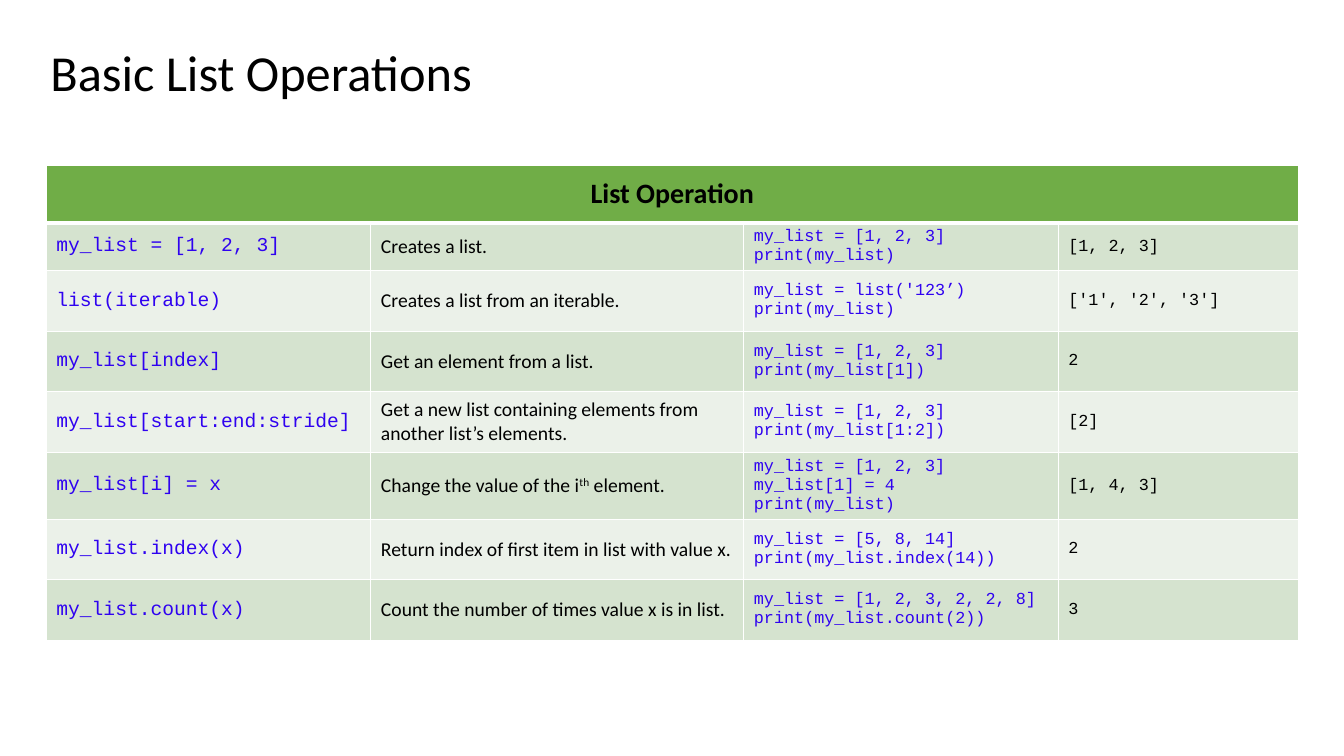
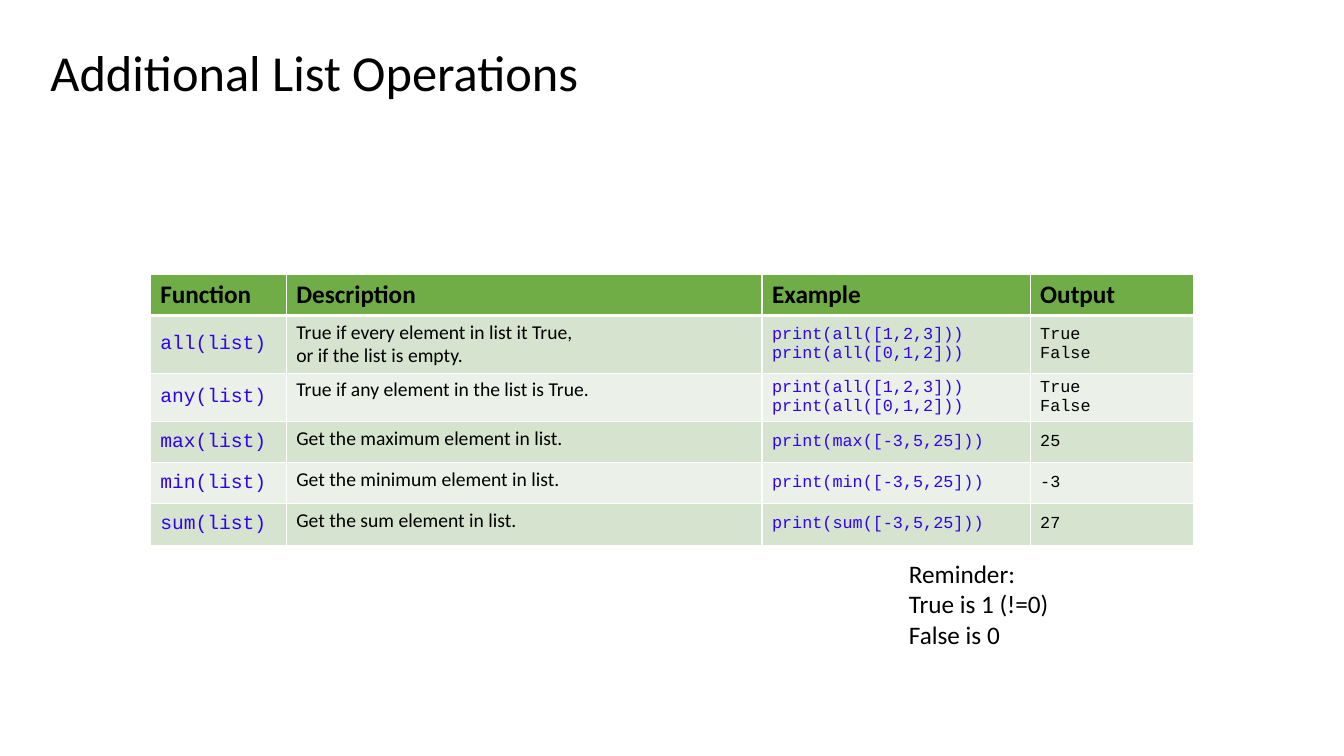
from lxml import etree
from pptx import Presentation
from pptx.dml.color import RGBColor
from pptx.enum.text import MSO_ANCHOR, MSO_AUTO_SIZE, PP_ALIGN
from pptx.oxml.ns import qn
from pptx.util import Pt

TOP, MIDDLE = MSO_ANCHOR.TOP, MSO_ANCHOR.MIDDLE
LEFT, CENTER = PP_ALIGN.LEFT, PP_ALIGN.CENTER
FIT_SHAPE = MSO_AUTO_SIZE.SHAPE_TO_FIT_TEXT

BLACK = RGBColor(0x00, 0x00, 0x00)
CODE_BLUE = RGBColor(0x2F, 0x02, 0xF0)
GREEN = RGBColor(0x70, 0xAD, 0x47)
BANDS = [RGBColor(0xD5, 0xE3, 0xCF), RGBColor(0xEB, 0xF1, 0xE9)]
BORDER = "FFFFFF"

SANS, MONO = "Calibri", "Courier New"
TITLE = {"name": SANS, "size": Pt(36), "color": BLACK}
NOTE = {"name": SANS, "size": Pt(18), "color": BLACK}
COLUMN_FONTS = [
    {"name": MONO, "size": Pt(14), "color": CODE_BLUE, "bold": False},
    {"name": SANS, "size": Pt(14), "color": BLACK, "bold": False},
    {"name": MONO, "size": Pt(12), "color": CODE_BLUE, "bold": False},
    {"name": MONO, "size": Pt(12), "color": BLACK, "bold": False},
]

SLIDES = [
    {
        "title": "Basic List Operations",
        "at": (33.12, 118.08),
        "cols": [231.84, 266.4, 224.64, 171.36],
        "heights": [41, 30.25] + [43.2] * 6,
        "header_size": 20,
        "header_anchor": MIDDLE,
        "description_anchor": MIDDLE,
        "header": ["List Operation"],
        "rows": [
            ("my_list = [1, 2, 3]", "Creates a list.",
             "my_list = [1, 2, 3]\nprint(my_list)", "[1, 2, 3]"),
            ("list(iterable)", "Creates a list from an iterable.",
             "my_list = list('123’)\nprint(my_list)", "['1', '2', '3']"),
            ("my_list[index]", "Get an element from a list.",
             "my_list = [1, 2, 3]\nprint(my_list[1])", "2"),
            ("my_list[start:end:stride]",
             "Get a new list containing elements from another list’s elements.",
             "my_list = [1, 2, 3]\nprint(my_list[1:2])", "[2]"),
            ("my_list[i] = x", "Change the value of the i^th^ element.",
             "my_list = [1, 2, 3]\nmy_list[1] = 4\nprint(my_list)", "[1, 4, 3]"),
            ("my_list.index(x)", "Return index of first item in list with value x.",
             "my_list = [5, 8, 14]\nprint(my_list.index(14))", "2"),
            ("my_list.count(x)", "Count the number of times value x is in list.",
             "my_list = [1, 2, 3, 2, 2, 8]\nprint(my_list.count(2))", "3"),
        ],
    },
    {
        "title": "Additional List Operations",
        "at": (107.28, 195.84),
        "cols": [97.2, 339.84, 191.52, 116.64],
        "heights": [29.5] * 6,
        "header_size": 18,
        "header_anchor": TOP,
        "description_anchor": TOP,
        "header": ["Function", "Description", "Example", "Output"],
        "rows": [
            ("all(list)", "True if every element in list it True,\nor if the list is empty.",
             "print(all([1,2,3]))\nprint(all([0,1,2]))", "True\nFalse"),
            ("any(list)", "True if any element in the list is True.",
             "print(all([1,2,3]))\nprint(all([0,1,2]))", "True\nFalse"),
            ("max(list)", "Get the maximum element in list.",
             "print(max([-3,5,25]))", "25"),
            ("min(list)", "Get the minimum element in list.",
             "print(min([-3,5,25]))", "-3"),
            ("sum(list)", "Get the sum element in list.",
             "print(sum([-3,5,25]))", "27"),
        ],
        "note": "Reminder:\nTrue is 1 (!=0)\nFalse is 0",
    },
]


def write(tf, text, fmt, align=LEFT):
    """Put one paragraph per line of text; parts between ^ marks are superscript."""
    for i, line in enumerate(text.split("\n")):
        p = tf.add_paragraph() if i else tf.paragraphs[0]
        p.alignment = align
        for j, part in enumerate(line.split("^")):
            r = p.add_run()
            r.text = part
            for key, value in fmt.items():
                if key == "color":
                    r.font.color.rgb = value
                else:
                    setattr(r.font, key, value)
            if j % 2:
                r._r.get_or_add_rPr().set("baseline", "30000")


def style_cell(cell, fill, anchor, top, bottom):
    """Set fill, anchor and borders; top and bottom are line widths in points."""
    tcPr = cell._tc.get_or_add_tcPr()
    for tag, width in (("a:lnL", 1), ("a:lnR", 1), ("a:lnT", top), ("a:lnB", bottom)):
        ln = etree.SubElement(tcPr, qn(tag), w=str(Pt(width)))
        solid = etree.SubElement(ln, qn("a:solidFill"))
        etree.SubElement(solid, qn("a:srgbClr"), val=BORDER)
    cell.fill.solid()
    cell.fill.fore_color.rgb = fill
    cell.vertical_anchor = anchor


prs = Presentation()
prs.slide_width, prs.slide_height = Pt(960), Pt(540)

for data in SLIDES:
    s = prs.slides.add_slide(prs.slide_layouts[5])
    title = s.shapes.title
    title.left, title.top, title.width, title.height = Pt(28.8), Pt(17.3), Pt(828), Pt(73.4)
    title.text_frame.vertical_anchor = MIDDLE
    write(title.text_frame, data["title"], TITLE)
    title.text_frame.paragraphs[0].line_spacing = 0.9

    cols, heights, header = data["cols"], data["heights"], data["header"]
    left, top = data["at"]
    table = s.shapes.add_table(len(heights), len(cols), Pt(left), Pt(top),
                               Pt(sum(cols)), Pt(sum(heights))).table
    for col, width in zip(table.columns, cols):
        col.width = Pt(width)
    for row, height in zip(table.rows, heights):
        row.height = Pt(height)

    for c in range(len(cols)):
        style_cell(table.cell(0, c), GREEN, data["header_anchor"], 1, 3)
    spans_table = len(header) == 1
    if spans_table:
        table.cell(0, 0).merge(table.cell(0, len(cols) - 1))
    header_font = {"name": SANS, "size": Pt(data["header_size"]), "color": BLACK, "bold": True}
    for c, text in enumerate(header):
        write(table.cell(0, c).text_frame, text, header_font, CENTER if spans_table else LEFT)

    anchors = [MIDDLE, data["description_anchor"], MIDDLE, MIDDLE]
    for i, texts in enumerate(data["rows"]):
        for c, text in enumerate(texts):
            cell = table.cell(i + 1, c)
            style_cell(cell, BANDS[i % 2], anchors[c], 1 if i else 3, 1)
            write(cell.text_frame, text, COLUMN_FONTS[c])

    if "note" in data:
        tf = s.shapes.add_textbox(Pt(642.2), Pt(395.3), Pt(115.2), Pt(72.7)).text_frame
        tf.word_wrap = False
        tf.auto_size = FIT_SHAPE
        write(tf, data["note"], NOTE)

prs.save("out.pptx")
